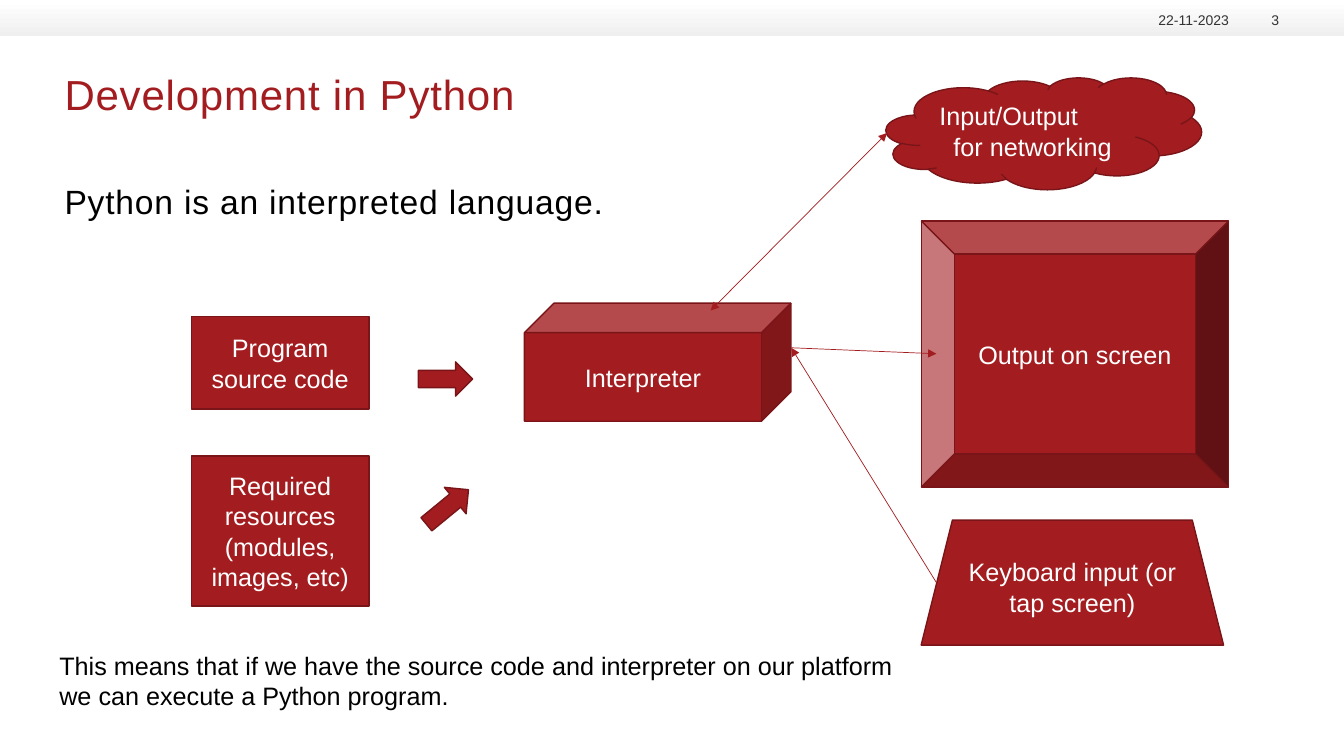
"""Build the slide that explains how a Python program is interpreted."""
from lxml import etree
from pptx import Presentation
from pptx.dml.color import RGBColor
from pptx.enum import shapes, text
from pptx.oxml import ns
from pptx.util import Pt

COLOURS = {"red": "A31D20", "dark red": "791518", "white": "FFFFFF",
           "black": "000000", "grey": "333333", "light grey": "EEEFEE"}
LEFT, CENTER, RIGHT = text.PP_ALIGN.LEFT, text.PP_ALIGN.CENTER, text.PP_ALIGN.RIGHT
KINDS = shapes.MSO_SHAPE


def colour(name):
    """Return the named colour."""
    return RGBColor.from_string(COLOURS[name])


def write(shape, lines, size, ink, anchor, margins=None, spacing=None):
    """Fill a shape with one paragraph for each (line, alignment) pair."""
    frame = shape.text_frame
    frame.word_wrap = True
    frame.auto_size = text.MSO_AUTO_SIZE.NONE
    frame.vertical_anchor = anchor
    if margins is not None:
        frame.margin_left = frame.margin_right = Pt(margins)
        frame.margin_top = frame.margin_bottom = Pt(margins)
    for number, (line, alignment) in enumerate(lines):
        paragraph = frame.add_paragraph() if number else frame.paragraphs[0]
        paragraph.alignment = alignment
        paragraph.space_before = Pt(0)
        run = paragraph.add_run()
        run.text = line
        run.font.size = Pt(size)
        run.font.name = "Arial"
        run.font.color.rgb = colour(ink)
        if spacing:
            run.font._element.set("spc", str(spacing))


presentation = Presentation()
presentation.slide_width, presentation.slide_height = Pt(960), Pt(540)
slide = presentation.slides.add_slide(presentation.slide_layouts[1])

band = slide.shapes.add_shape(KINDS.RECTANGLE, 0, 0, Pt(960), Pt(26))
band.shadow.inherit = False
band.line.fill.background()
band.fill.gradient()
band.fill.gradient_angle = 270
for stop, name in zip(band.fill.gradient_stops, ("white", "light grey")):
    stop.color.rgb = colour(name)

title, body = slide.placeholders
for placeholder, top, height, line, size, ink in (
        (title, 49, 68.4, "Development in Python", 30, "red"),
        (body, 128.9, 58.3, "Python is an interpreted language.", 24, "black")):
    placeholder.left, placeholder.top = Pt(46.1), Pt(top)
    placeholder.width, placeholder.height = Pt(866.9), Pt(height)
    write(placeholder, [(line, LEFT)], size, ink, text.MSO_ANCHOR.TOP, 0, 60)
properties = body.text_frame.paragraphs[0]._p.get_or_add_pPr()
properties.set("marL", "0")
properties.set("indent", "0")
etree.SubElement(properties, ns.qn("a:buNone"))

for left, width, line in ((813.6, 64.1, "22-11-2023"), (883.4, 30.2, "3")):
    box = slide.shapes.add_textbox(Pt(left), Pt(6.5), Pt(width), Pt(13.7))
    write(box, [(line, RIGHT)], 10, "grey", text.MSO_ANCHOR.BOTTOM, 0)

blocks = (
    (KINDS.RECTANGLE, 136.8, 226.1, 126.7, 66.2, 0, [("Program source code", CENTER)]),
    (KINDS.RECTANGLE, 136.8, 325.6, 126.7, 107.3, 0,
     [("Required resources (modules, images, etc)", CENTER)]),
    (KINDS.RIGHT_ARROW, 298.8, 258.5, 38.9, 24.5, 0, []),
    (KINDS.RIGHT_ARROW, 300.2, 349.9, 38.9, 24.5, 320.6, []),
    (KINDS.CUBE, 374.6, 216.6, 190.4, 84.3, 0, [("Interpreter", CENTER)]),
    (KINDS.BEVEL, 658, 157.8, 219.6, 190.2, 0, [("Output on screen", CENTER)]),
    (KINDS.TRAPEZOID, 658, 371.5, 216, 89.3, 0,
     [("Keyboard input (or tap screen)", CENTER)]),
    (KINDS.CLOUD, 632.9, 55.4, 225.4, 79.9, 0,
     [("Input/Output", LEFT), ("for networking", CENTER)]),
)
for kind, left, top, width, height, rotation, lines in blocks:
    block = slide.shapes.add_shape(kind, Pt(left), Pt(top), Pt(width), Pt(height))
    block.shadow.inherit = False
    block.rotation = rotation
    block.fill.solid()
    block.fill.fore_color.rgb = colour("red")
    block.line.color.rgb = colour("dark red")
    block.line.width = Pt(1)
    write(block, lines, 18, "white", text.MSO_ANCHOR.MIDDLE)

summary = slide.shapes.add_textbox(Pt(35.3), Pt(460.8), Pt(612.7), Pt(51.1))
write(summary, [
    ("This means that if we have the source code and interpreter on our platform", LEFT),
    ("we can execute a Python program.", LEFT)], 18, "black", text.MSO_ANCHOR.TOP)
summary.text_frame.word_wrap = False

for x1, y1, x2, y2, ends in (
        (565.2, 248.4, 668.9, 252.7, ["tailEnd"]),
        (668.9, 416.2, 565.2, 248.4, ["tailEnd"]),
        (507.6, 221.8, 633.6, 95, ["headEnd", "tailEnd"])):
    flow = slide.shapes.add_connector(
        shapes.MSO_CONNECTOR.STRAIGHT, Pt(x1), Pt(y1), Pt(x2), Pt(y2))
    flow.line.color.rgb = colour("red")
    flow.line.width = Pt(0.5)
    outline = flow.element.spPr.find(ns.qn("a:ln"))
    for end in ends:
        etree.SubElement(outline, ns.qn(f"a:{end}"), type="triangle")
    etree.SubElement(flow.element.spPr, ns.qn("a:effectLst"))

presentation.save("out.pptx")
